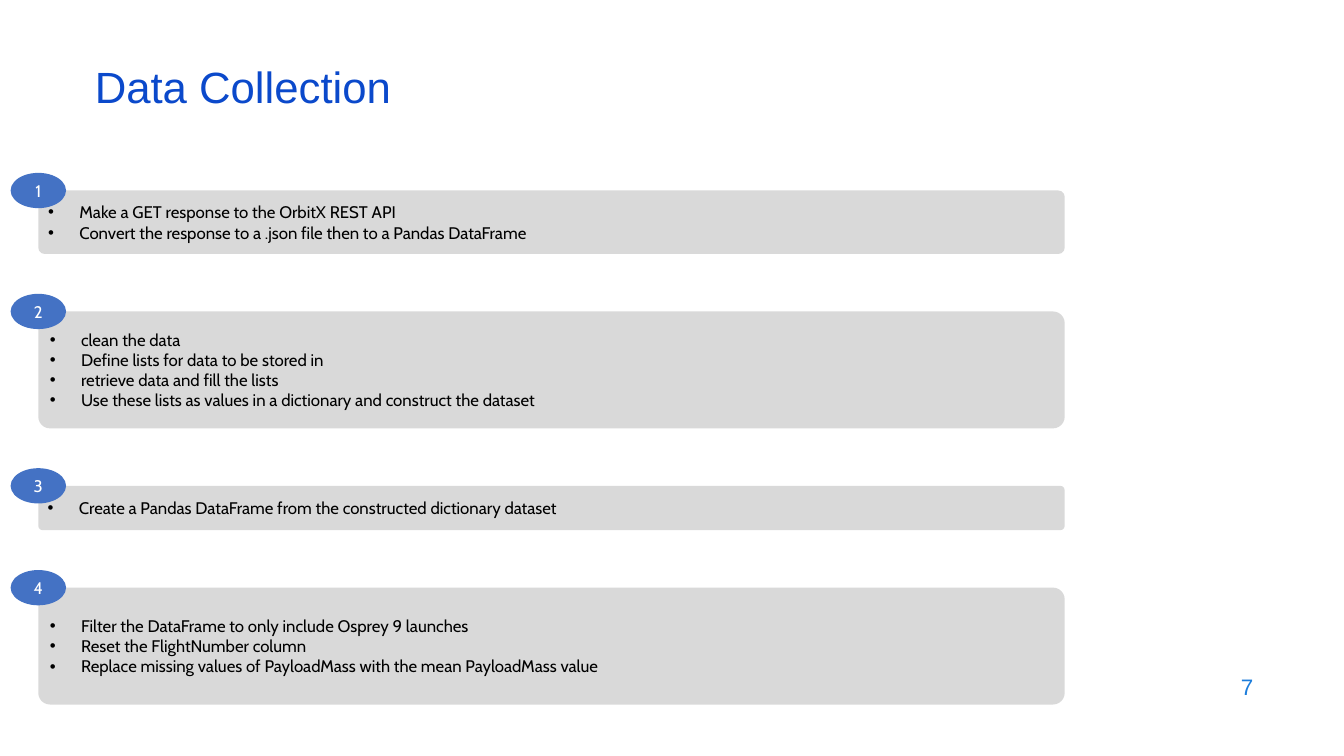
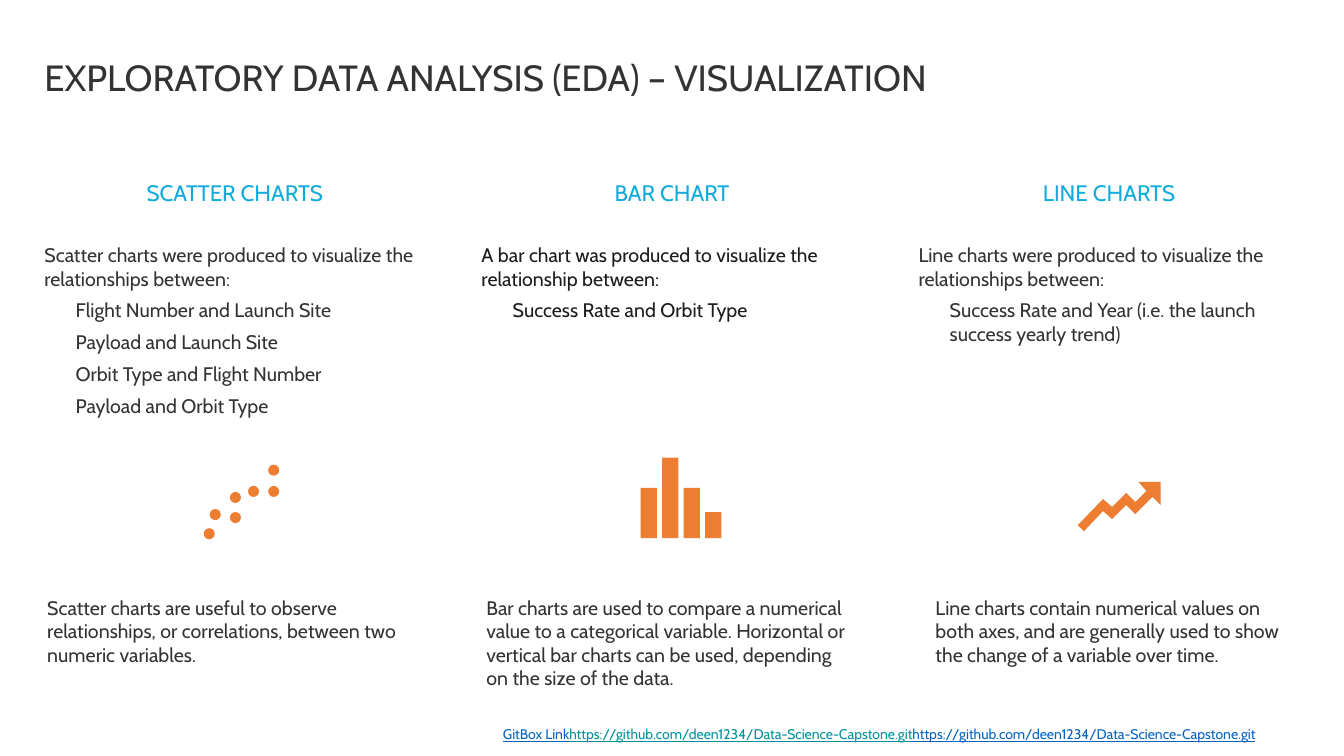
from lxml.etree import SubElement
from pptx import Presentation
from pptx.dml.color import RGBColor
from pptx.enum.shapes import MSO_SHAPE as Shape
from pptx.enum.text import MSO_ANCHOR as Anchor, MSO_AUTO_SIZE as Fit, PP_ALIGN as Align
from pptx.oxml.ns import qn
from pptx.util import Inches, Pt

HUES = {
    "title": "0B49CB", "page": "1C7DDB", "card": "D9D9D9", "badge": "4472C4",
    "black": "000000", "white": "FFFFFF", "text": "333333", "dark": "1C1C1C",
    "head": "12ABDB", "icon": "ED7D31", "link": "0563C1", "teal": "00929B",
}
SANS, BODY = "Arial", "Cabin"
WIDE, HIGH = 13.33, 7.5

# Three equal columns between equal margins
EDGE, COL = 0.44, 3.78
STEP = (WIDE - 2 * EDGE - COL) / 2
HEAD_TOP, BODY_TOP, ICON_TOP, NOTE_TOP = 1.45, 2.41, 4.54, 5.86
ICON_IN = 1.58
PAD = (0.1, 0.05, 0.1, 0.05)
NONE = (0, 0, 0, 0)
INDENT = 0.31

CARD_LEFT, CARD_TOP, CARD_WIDE, CARD_GAP = 0.38, 1.89, 10.18, 0.57
BADGE_WIDE, BADGE_HIGH = 0.55, 0.35
CARDS = [
    (0.63, ["Make a GET response to the OrbitX REST API",
            "Convert the response to a .json file then to a Pandas DataFrame"]),
    (1.16, ["clean the data",
            "Define lists for data to be stored in",
            "retrieve data and fill the lists",
            "Use these lists as values in a dictionary and construct the dataset"]),
    (0.44, ["Create a Pandas DataFrame from the constructed dictionary dataset"]),
    (1.16, ["Filter the DataFrame to only include Osprey 9 launches",
            "Reset the FlightNumber column",
            "Replace missing values of PayloadMass with the mean PayloadMass value"]),
]

DOTS = [(0, 0.7), (0.06, 0.51), (0.26, 0.54), (0.26, 0.34),
        (0.44, 0.28), (0.64, 0.28), (0.64, 0.07)]
BARS = [0.5, 0.8, 0.5, 0.26]
ARROW = [(0.6, 0.24), (0.68, 0.33), (0.57, 0.44), (0.48, 0.35), (0.34, 0.49),
         (0.25, 0.41), (0, 0.67), (0.06, 0.73), (0.25, 0.53), (0.34, 0.61),
         (0.48, 0.47), (0.57, 0.56), (0.74, 0.39), (0.82, 0.47), (0.82, 0.24)]

URL = "https://github.com/deen1234/Data-Science-Capstone.git"
LINKS = [("GitBox Link", "link"), (URL, "teal"), (URL, "link")]


def color(name):
    return RGBColor.from_string(HUES[name])


def style(run, size, hue, font=BODY):
    run.font.size, run.font.name = Pt(size), font
    run.font.color.rgb = color(hue)


def write(shape, lines, size, hue, font=BODY, align=Align.LEFT,
          anchor=Anchor.TOP, pad=NONE):
    """Fill a shape with one styled paragraph per line; return the paragraphs."""
    frame = shape.text_frame
    frame.text = "\n".join(lines)
    frame.word_wrap, frame.auto_size = True, Fit.NONE
    frame.vertical_anchor = anchor
    (frame.margin_left, frame.margin_top,
     frame.margin_right, frame.margin_bottom) = map(Inches, pad)
    for para in frame.paragraphs:
        para.alignment = align
        for run in para.runs:
            style(run, size, hue, font)
    return frame.paragraphs


def add_text(slide, box, lines, size, hue, **look):
    shape = slide.shapes.add_textbox(*map(Inches, box))
    return write(shape, lines, size, hue, **look)


def add_title(slide, box, text, size, hue, **look):
    shape = slide.shapes.title
    shape.left, shape.top, shape.width, shape.height = map(Inches, box)
    write(shape, [text], size, hue, **look)[0].line_spacing = 0.9


def paint(shape, hue):
    shape.shadow.inherit = False
    shape.fill.solid()
    shape.fill.fore_color.rgb = color(hue)
    shape.line.fill.background()
    return shape


def add_shape(slide, kind, box, hue):
    return paint(slide.shapes.add_shape(kind, *map(Inches, box)), hue)


def indent(para, bullet=False):
    props = para._p.get_or_add_pPr()
    props.set("marL", str(Inches(INDENT)))
    props.set("indent", str(-Inches(INDENT) if bullet else 0))
    if bullet:
        SubElement(props, qn("a:buFont")).set("typeface", SANS)
        SubElement(props, qn("a:buChar")).set("char", "•")


def add_card(slide, num, top, high, lines):
    card = add_shape(slide, Shape.ROUNDED_RECTANGLE,
                     (CARD_LEFT, top, CARD_WIDE, high), "card")
    card.adjustments[0] = 0.1
    for para in write(card, lines, 12, "black", anchor=Anchor.MIDDLE,
                      pad=(0.08, 0, 0, 0)):
        indent(para, bullet=True)
    badge = add_shape(slide, Shape.OVAL,
                      (CARD_LEFT - BADGE_WIDE / 2, top - BADGE_HIGH / 2,
                       BADGE_WIDE, BADGE_HIGH), "badge")
    write(badge, [str(num)], 12, "white", align=Align.CENTER, anchor=Anchor.MIDDLE)


def draw_dots(slide, left, top):
    for x, y in DOTS:
        add_shape(slide, Shape.OVAL, (left + x, top + y, 0.11, 0.11), "icon")


def draw_bars(slide, left, top):
    wide, base = 0.16, max(BARS)
    step = (0.8 - wide) / (len(BARS) - 1)
    for i, high in enumerate(BARS):
        add_shape(slide, Shape.RECTANGLE,
                  (left + i * step, top + base - high, wide, high), "icon")


def draw_arrow(slide, left, top):
    points = [(Inches(left + x), Inches(top + y)) for x, y in ARROW]
    path = slide.shapes.build_freeform(*points[0])
    path.add_line_segments(points[1:], close=True)
    paint(path.convert_to_shape(), "icon")


# Heading, body hue, body lines, icon, note, note shift
CHARTS = [
    ("SCATTER CHARTS", "text",
     ["Scatter charts were produced to visualize the relationships between:",
      "Flight Number and Launch Site", "Payload and Launch Site",
      "Orbit Type and Flight Number", "Payload and Orbit Type"],
     draw_dots,
     "Scatter charts are useful to observe relationships, or correlations, "
     "between two numeric variables.", -0.07),
    ("BAR CHART", "dark",
     ["A bar chart was produced to visualize the relationship between:",
      "Success Rate and Orbit Type"],
     draw_bars,
     "Bar charts are used to compare a numerical value to a categorical variable. "
     "Horizontal or vertical bar charts can be used, depending on the size of "
     "the data.", -0.05),
    ("LINE CHARTS", "text",
     ["Line charts were produced to visualize the relationships between:",
      "Success Rate and Year (i.e. the launch success yearly trend)"],
     draw_arrow,
     "Line charts contain numerical values on both axes, and are generally used "
     "to show the change of a variable over time.", 0.07),
]


def add_column(slide, left, head, hue, lines, draw, note, shift):
    add_text(slide, (left, HEAD_TOP, COL, 0.92), [head], 16, "head",
             align=Align.CENTER, anchor=Anchor.MIDDLE)
    paras = add_text(slide, (left, BODY_TOP, COL, 2), lines, 14, hue)
    for para in paras:
        para.space_after = Pt(6)
    for para in paras[1:]:
        indent(para)
    draw(slide, left + ICON_IN, ICON_TOP)
    add_text(slide, (left + shift, NOTE_TOP, COL, 1.26), [note], 14, "text", pad=PAD)


def add_links(slide):
    para = add_text(slide, (4.89, 7.15, 8.05, 0.26), [""], 10, "link", pad=PAD)[0]
    for text, hue in LINKS:
        run = para.add_run()
        run.text = text
        style(run, 10, hue)
        run.font.underline = True


def build_steps(slide):
    add_title(slide, (0.84, 0.59, 11.5, 0.6), "Data Collection", 31.2, "title",
              font=SANS, anchor=Anchor.MIDDLE, pad=PAD)
    add_text(slide, (9.53, 6.59, 3, 0.44), ["7"], 16, "page", font=SANS,
             align=Align.RIGHT, anchor=Anchor.MIDDLE, pad=PAD)
    top = CARD_TOP
    for num, (high, lines) in enumerate(CARDS, 1):
        add_card(slide, num, top, high, lines)
        top += high + CARD_GAP


def build_charts(slide):
    add_title(slide, (EDGE, 0.21, 11.97, 0.78),
              "EXPLORATORY DATA ANALYSIS (EDA) – VISUALIZATION", 26, "text",
              anchor=Anchor.BOTTOM)
    for i, chart in enumerate(CHARTS):
        add_column(slide, EDGE + i * STEP, *chart)
    add_links(slide)


def main():
    deck = Presentation()
    deck.slide_width, deck.slide_height = Inches(WIDE), Inches(HIGH)
    for build in (build_steps, build_charts):
        build(deck.slides.add_slide(deck.slide_layouts[5]))
    deck.save("out.pptx")


if __name__ == "__main__":
    main()
